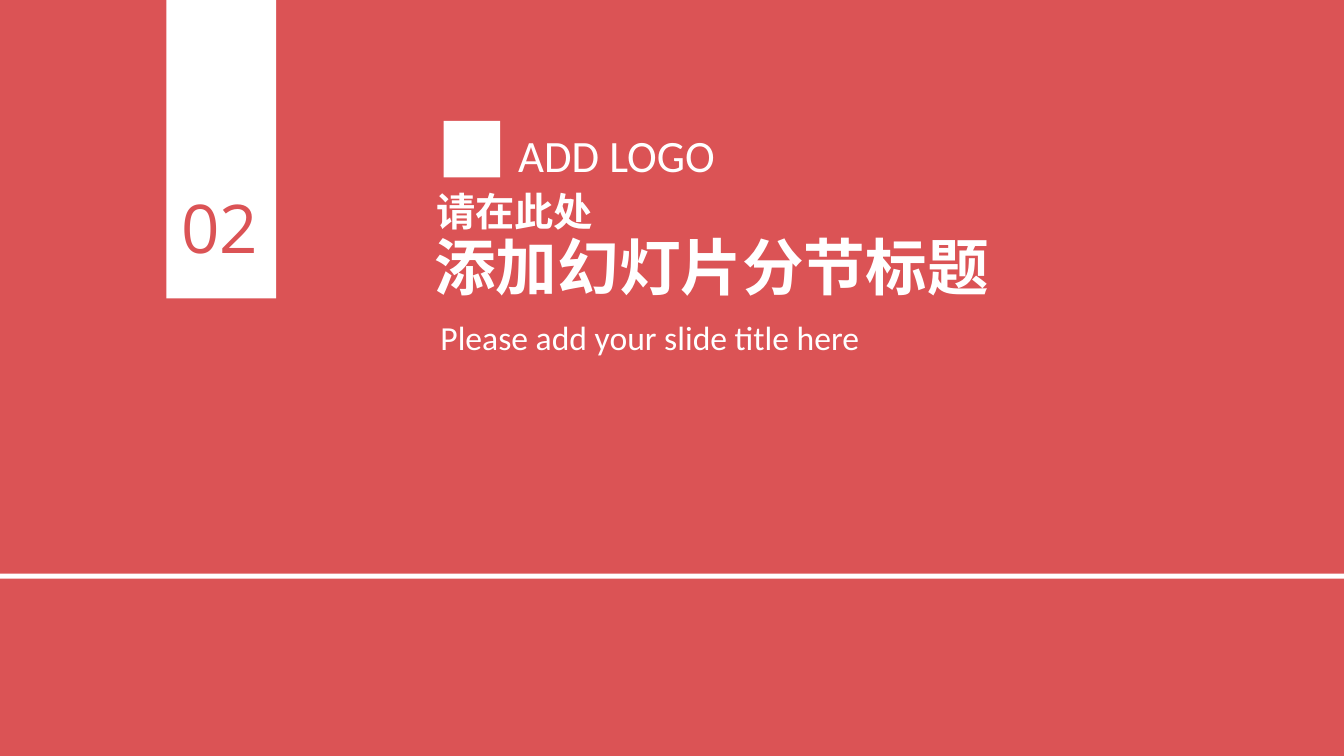
import pptx
import pptx.util
import pptx.dml.color
import pptx.enum.shapes
import pptx.enum.text
import lxml.etree
from dataclasses import dataclass

Inches = pptx.util.Inches


@dataclass
class Theme:
    red: str = "DB5355"
    white: str = "FFFFFF"
    digit: str = "Open Sans"
    latin: str = "Calibri"
    han: str = "Noto Sans CJK SC"
    number: int = 48
    title: int = 44
    logo: int = 32
    lead: int = 28
    note: int = 24
    tight: float = 0.88


class Page:
    def __init__(self, deck, theme):
        self.theme = theme
        self.slide = deck.slides.add_slide(deck.slide_layouts[6])

    def block(self, box, color):
        kind = pptx.enum.shapes.MSO_SHAPE.RECTANGLE
        shape = self.slide.shapes.add_shape(kind, *map(Inches, box))
        shape.shadow.inherit = False
        shape.fill.solid()
        shape.fill.fore_color.rgb = pptx.dml.color.RGBColor.from_string(color)
        shape.line.fill.background()

    def text(self, box, words, size, face, color, bold=False, space=None):
        frame = self.slide.shapes.add_textbox(*map(Inches, box)).text_frame
        frame.word_wrap = True
        frame.auto_size = pptx.enum.text.MSO_AUTO_SIZE.SHAPE_TO_FIT_TEXT
        line = frame.paragraphs[0]
        if space:
            line.line_spacing = space
        run = line.add_run()
        run.text = words
        run.font.color.rgb = pptx.dml.color.RGBColor.from_string(color)
        style = {"size": pptx.util.Pt(size), "name": face, "bold": bold}
        for key, value in style.items():
            setattr(run.font, key, value)
        tag = pptx.oxml.ns.qn("a:ea")
        east = lxml.etree.SubElement(run._r.get_or_add_rPr(), tag)
        east.set("typeface", face)

    def heading(self, box, words, size):
        look = self.theme
        self.text(box, words, size, look.han, look.white, True, look.tight)


deck = pptx.Presentation()
deck.slide_width, deck.slide_height = Inches(13.33), Inches(7.5)
theme = Theme()
page = Page(deck, theme)

page.block((0, 0, 13.33, 7.5), theme.red)
page.block((1.65, 0, 1.09, 2.96), theme.white)
page.text((1.7, 1.8, 1.33, 0.91), "02", theme.number, theme.digit, theme.red)
page.heading((4.23, 1.87, 1.81, 0.57), "请在此处", theme.lead)
page.heading((4.21, 2.32, 5.83, 0.84), "添加幻灯片分节标题", theme.title)
page.text((4.27, 3.09, 5.2, 0.5), "Please add your slide title here",
          theme.note, theme.latin, theme.white)
page.block((0, 5.69, 13.33, 0.05), theme.white)
page.text((5.04, 1.22, 2.81, 0.64), "ADD LOGO",
          theme.logo, theme.latin, theme.white)
page.block((4.4, 1.2, 0.56, 0.56), theme.white)

deck.save("out.pptx")
